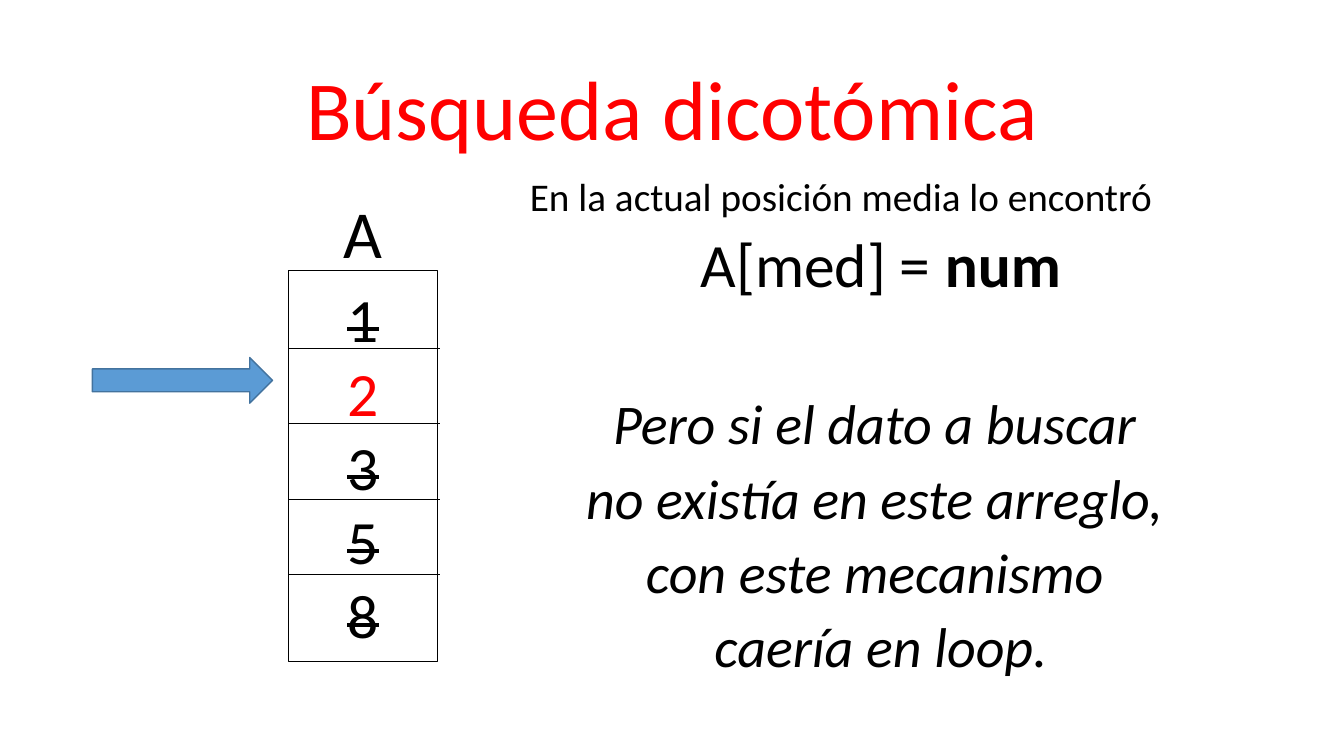
from lxml import etree
from pptx import Presentation, util as u
from pptx.dml.color import RGBColor
from pptx.enum import shapes, text
from pptx.oxml.ns import qn

# Content
COLORS = {"black": "000000", "red": "FF0000", "blue": "5B9BD5", "edge": "43739E"}
TITLE = "Búsqueda dicotómica"
ARRAY_NAME = "A"
ARRAY = ["1", "2", "3", "5", "8"]
FOUND = "2"
SMALL = {"size": u.Pt(28)}
FORMULA = {"size": u.Pt(44)}
REMARK = {"size": u.Pt(40), "italic": True}
LEFT, CENTER = text.PP_ALIGN.LEFT, text.PP_ALIGN.CENTER
# Each line: alignment, space before in points, runs
LINES = [
    (LEFT, 10, [("En la actual posición media lo encontró", SMALL)]),
    (CENTER, 10, [("A[med] = ", FORMULA), ("num", {**FORMULA, "bold": True})]),
    (CENTER, 68, [("Pero si el dato a buscar ", REMARK)]),
    (CENTER, 10, [("no existía en este arreglo, ", REMARK)]),
    (CENTER, 10, [("con este mecanismo ", REMARK)]),
    (CENTER, 10, [("caería en loop.", REMARK)]),
]

# Layout in centimetres: left, top, width, height
TITLE_BOX = (2.33, 1.01, 29.21, 3.68)
BODY_BOX = (13.1, 4.36, 18.2, 13.28)
ARRAY_BOX = (7.27, 6.81, 3.76, 9.86)
LABEL_BOX = (8.4, 4.7, 1.5, 2.31)
ARROW_BOX = (2.33, 9.01, 4.54, 1.15)
FIRST_DIVIDER, DIVIDER_STEP, DIVIDER_WIDTH = 8.78, 1.9, 3.82


def cm(values):
    return [u.Cm(value) for value in values]


def place(shape, box):
    for name, value in zip(("left", "top", "width", "height"), cm(box)):
        setattr(shape, name, value)


def add_run(paragraph, words, formats, color="black"):
    run = paragraph.add_run()
    run.text = words
    for name, value in {"name": "Calibri", **formats}.items():
        setattr(run.font, name, value)
    run.font.color.rgb = RGBColor.from_string(COLORS[color])
    return run


def set_line(shape, color, width):
    shape.line.color.rgb = RGBColor.from_string(COLORS[color])
    shape.line.width = u.Pt(width)


def paragraph_at(frame, index):
    return frame.add_paragraph() if index else frame.paragraphs[0]


presentation = Presentation()
presentation.slide_width, presentation.slide_height = cm((33.87, 19.05))
slide = presentation.slides.add_slide(presentation.slide_layouts[1])

# Title
title = slide.shapes.title
place(title, TITLE_BOX)
title.text_frame.vertical_anchor = text.MSO_ANCHOR.MIDDLE
title_line = title.text_frame.paragraphs[0]
title_line.alignment, title_line.line_spacing = CENTER, 0.9
add_run(title_line, TITLE, {"size": u.Pt(60)}, "red")

# Explanation without bullets
body = slide.placeholders[1]
place(body, BODY_BOX)
body.text_frame.auto_size = text.MSO_AUTO_SIZE.NONE
for index, (alignment, space, runs) in enumerate(LINES):
    paragraph = paragraph_at(body.text_frame, index)
    layout = {"alignment": alignment, "line_spacing": 0.9, "space_before": u.Pt(space)}
    for name, value in layout.items():
        setattr(paragraph, name, value)
    properties = paragraph._p.get_or_add_pPr()
    properties.set("marL", "0")
    properties.set("indent", "0")
    etree.SubElement(properties, qn("a:buNone"))
    for words, formats in runs:
        add_run(paragraph, words, formats)

# Array with discarded values struck through
array = slide.shapes.add_shape(shapes.MSO_SHAPE.RECTANGLE, *cm(ARRAY_BOX))
array.shadow.inherit = False
array.fill.background()
set_line(array, "black", 1)
array.text_frame.vertical_anchor = text.MSO_ANCHOR.MIDDLE
for index, number in enumerate(ARRAY):
    paragraph = paragraph_at(array.text_frame, index)
    paragraph.alignment = CENTER
    run = add_run(paragraph, number, FORMULA, "red" if number == FOUND else "black")
    if number != FOUND:
        run._r.get_or_add_rPr().set("strike", "sngStrike")

# Cell dividers
for index in range(len(ARRAY) - 1):
    left, y = ARRAY_BOX[0], FIRST_DIVIDER + index * DIVIDER_STEP
    divider = slide.shapes.add_connector(
        shapes.MSO_CONNECTOR.STRAIGHT, *cm((left, y, left + DIVIDER_WIDTH, y)))
    set_line(divider, "black", 0.5)
    etree.SubElement(divider._element.spPr, qn("a:effectLst"))

# Array name
label = slide.shapes.add_textbox(*cm(LABEL_BOX))
label.text_frame.word_wrap = False
label.text_frame.auto_size = text.MSO_AUTO_SIZE.SHAPE_TO_FIT_TEXT
add_run(label.text_frame.paragraphs[0], ARRAY_NAME, {"size": u.Pt(48)})

# Arrow to the middle position
arrow = slide.shapes.add_shape(shapes.MSO_SHAPE.RIGHT_ARROW, *cm(ARROW_BOX))
arrow.shadow.inherit = False
arrow.fill.solid()
arrow.fill.fore_color.rgb = RGBColor.from_string(COLORS["blue"])
set_line(arrow, "edge", 1)

presentation.save("out.pptx")
